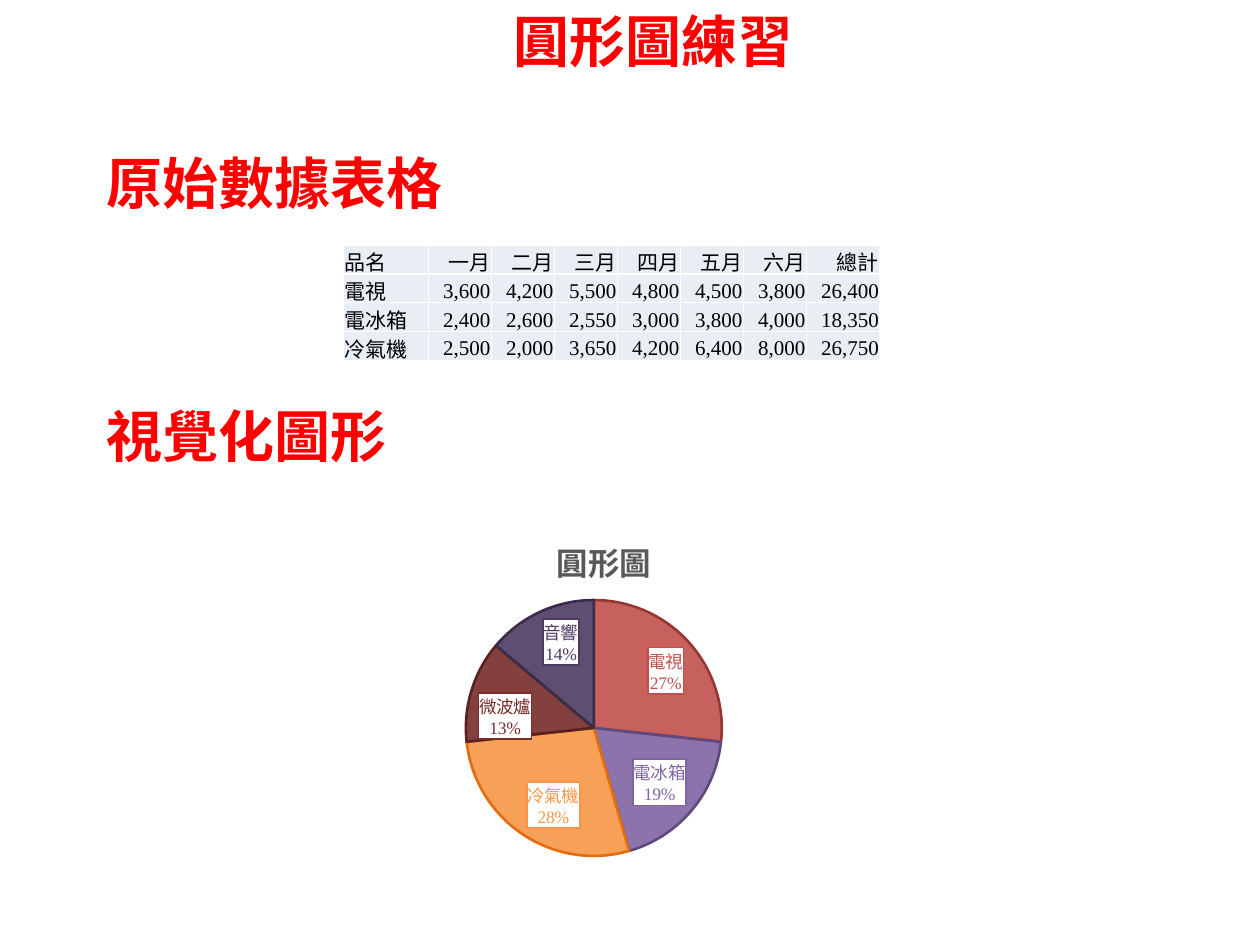
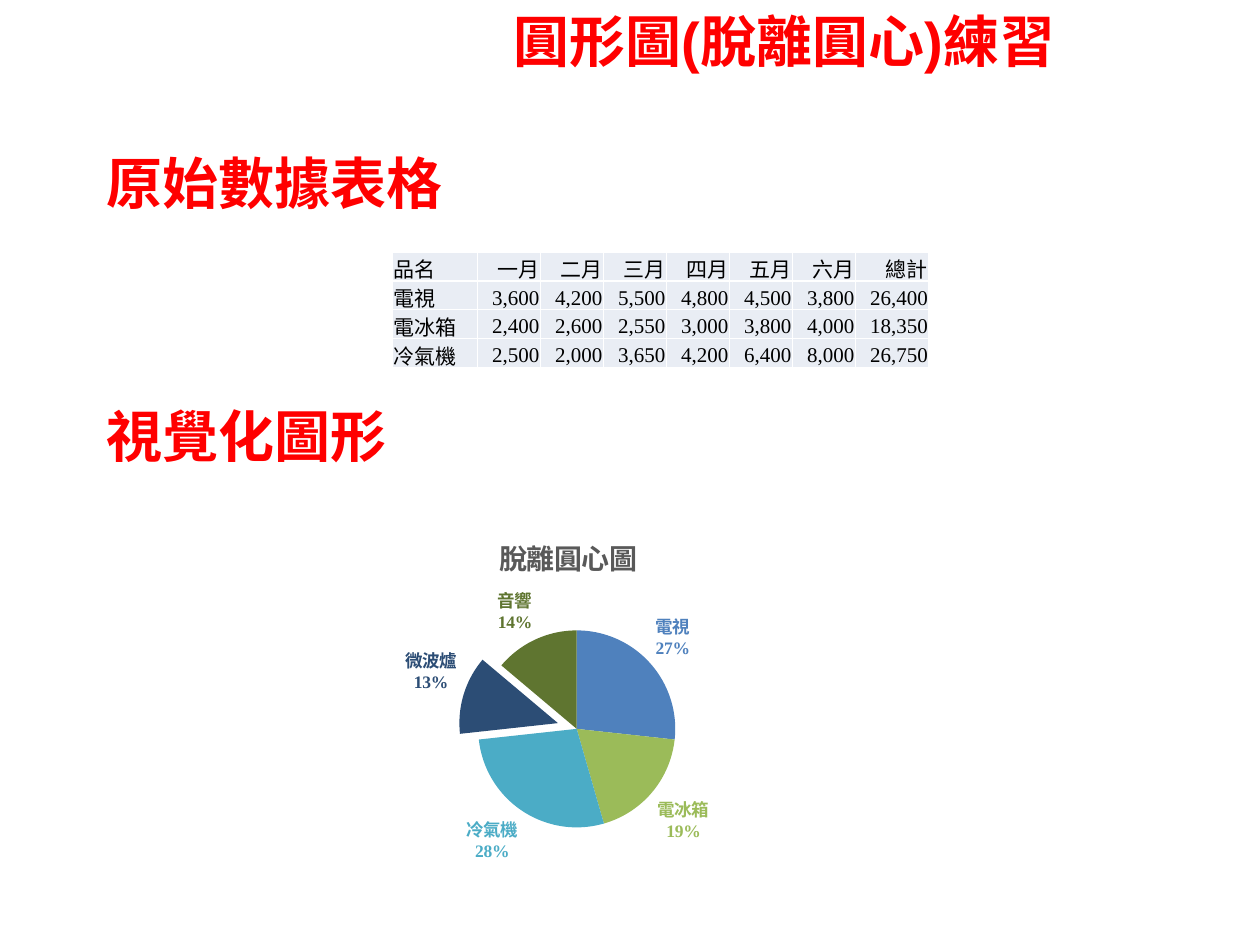
from pptx import Presentation
from pptx.chart.data import CategoryChartData
from pptx.dml.color import RGBColor
from pptx.enum.chart import XL_CHART_TYPE, XL_LABEL_POSITION
from pptx.enum.text import MSO_ANCHOR, PP_ALIGN
from pptx.oxml import parse_xml
from pptx.oxml.ns import nsdecls, qn
from pptx.util import Pt

RED = RGBColor(0xFF, 0x00, 0x00)
BLACK = RGBColor(0x00, 0x00, 0x00)
WHITE = RGBColor(0xFF, 0xFF, 0xFF)
GREY = RGBColor(0x59, 0x59, 0x59)
PALE = RGBColor(0xE9, 0xED, 0xF4)
WARM = [RGBColor(0xC0, 0x50, 0x4D), RGBColor(0x80, 0x64, 0xA2),
        RGBColor(0xF7, 0x96, 0x46), RGBColor(0x77, 0x2C, 0x2A),
        RGBColor(0x4D, 0x3B, 0x62)]
RIMS = [RGBColor(0x95, 0x37, 0x35), RGBColor(0x60, 0x4A, 0x7B),
        RGBColor(0xE4, 0x6C, 0x0A), RGBColor(0x59, 0x21, 0x20),
        RGBColor(0x3A, 0x2C, 0x4A)]
COOL = [RGBColor(0x4F, 0x81, 0xBD), RGBColor(0x9B, 0xBB, 0x59),
        RGBColor(0x4B, 0xAC, 0xC6), RGBColor(0x2C, 0x4D, 0x75),
        RGBColor(0x5F, 0x75, 0x30)]

SANS = "Arial"
SERIF = "Times New Roman"
SALES = [
    ["品名", "一月", "二月", "三月", "四月", "五月", "六月", "總計"],
    ["電視", "3,600", "4,200", "5,500", "4,800", "4,500", "3,800", "26,400"],
    ["電冰箱", "2,400", "2,600", "2,550", "3,000", "3,800", "4,000", "18,350"],
    ["冷氣機", "2,500", "2,000", "3,650", "4,200", "6,400", "8,000", "26,750"],
]
WIDTHS = [49] + [36] * 6 + [42]
ROW = 16.5
SHARES = {"電視": 27, "電冰箱": 19, "冷氣機": 28, "微波爐": 13, "音響": 14}


def style(font, size, color, name, bold=False):
    """Set the size, colour, face and weight of a font."""
    font.size, font.name, font.bold = Pt(size), name, bold
    font.color.rgb = color


def head(slide, text, left, top, width):
    """Add one red heading."""
    box = slide.shapes.add_textbox(Pt(left), Pt(top), Pt(width), Pt(46))
    box.text_frame.word_wrap = False
    box.text_frame.text = text
    style(box.text_frame.paragraphs[0].runs[0].font, 32, RED, SANS, True)


def rule(cell):
    """Draw white borders round a cell."""
    props = cell._tc.get_or_add_tcPr()
    for spot, side in enumerate("LRTB"):
        props.insert(spot, parse_xml(
            f'<a:ln{side} {nsdecls("a")} w="{Pt(1)}"><a:solidFill>'
            f'<a:srgbClr val="{WHITE}"/></a:solidFill></a:ln{side}>'))


def grid(slide, left, top):
    """Add the sales table."""
    frame = slide.shapes.add_table(
        len(SALES), len(WIDTHS), Pt(left), Pt(top),
        Pt(sum(WIDTHS)), Pt(ROW * len(SALES)))
    table = frame.table
    table.first_row = table.horz_banding = False
    for col, width in zip(table.columns, WIDTHS):
        col.width = Pt(width)
    for row, texts in zip(table.rows, SALES):
        row.height = Pt(ROW)
        for spot, (cell, text) in enumerate(zip(row.cells, texts)):
            cell.margin_left = cell.margin_right = cell.margin_top = Pt(0.75)
            cell.margin_bottom = Pt(0)
            cell.vertical_anchor = MSO_ANCHOR.BOTTOM
            cell.fill.solid()
            cell.fill.fore_color.rgb = PALE
            rule(cell)
            para = cell.text_frame.paragraphs[0]
            para.text = text
            para.alignment = PP_ALIGN.RIGHT if spot else PP_ALIGN.LEFT
            style(para.runs[0].font, 12, BLACK, SERIF)


def place(node, spot, **sizes):
    """Give a chart part a manual layout in fractions of the chart."""
    for old in node.findall(qn("c:layout")):
        node.remove(old)
    inner = '<c:layoutTarget val="inner"/>' if "w" in sizes else ""
    modes = '<c:xMode val="edge"/><c:yMode val="edge"/>'
    parts = "".join(f'<c:{key} val="{val}"/>' for key, val in sizes.items())
    node.insert(spot, parse_xml(
        f'<c:layout {nsdecls("c")}><c:manualLayout>{inner}{modes}{parts}'
        '</c:manualLayout></c:layout>'))


def pie(slide, left, top, title, size, start, plot, colors, side, bold):
    """Add a pie of the shares with a label per slice."""
    data = CategoryChartData()
    data.categories = SHARES.keys()
    data.add_series("Series 1", SHARES.values())
    chart = slide.shapes.add_chart(
        XL_CHART_TYPE.PIE, Pt(left), Pt(top), Pt(325), Pt(212.5), data).chart
    style(chart.font, 10, BLACK, SERIF)
    chart.has_legend = False
    chart.has_title = True
    para = chart.chart_title.text_frame.paragraphs[0]
    para.text = title
    style(para.runs[0].font, size, GREY, SERIF, True)
    space = chart._chartSpace
    place(next(space.iter(qn("c:title"))), 1, x=start, y=0.07)
    place(next(space.iter(qn("c:plotArea"))), 0, **plot)
    chart.plots[0].vary_by_categories = True
    series = chart.plots[0].series[0]
    for spot, color in enumerate(colors):
        point = series.points[spot]
        point.format.fill.solid()
        point.format.fill.fore_color.rgb = color
        point.format.line.fill.background()
        style(point.data_label.font, 10, color, SERIF, bold)
        point.data_label.position = side
    for label in space.iter(qn("c:dLbl")):
        for key, val in (("Val", 0), ("CatName", 1), ("Percent", 1)):
            label.find(qn(f"c:show{key}")).set("val", str(val))
        label.append(parse_xml(
            f'<c:separator {nsdecls("c")}>\n</c:separator>'))
        label.find(qn("c:txPr")).addprevious(parse_xml(
            f'<c:numFmt {nsdecls("c")} formatCode="0%" sourceLinked="0"/>'))
    return chart


def rim(chart):
    """Outline the slices and put their labels in white boxes."""
    points = chart.plots[0].series[0].points
    for spot, color in enumerate(RIMS):
        line = points[spot].format.line
        line.color.rgb = color
        line.width = Pt(1.5)
    for slice_ in chart._chartSpace.iter(qn("c:dPt")):
        tint = slice_.find(f'{qn("c:spPr")}/{qn("a:solidFill")}/{qn("a:srgbClr")}')
        tint.append(parse_xml(f'<a:alpha {nsdecls("a")} val="90000"/>'))
    for label, color in zip(chart._chartSpace.iter(qn("c:dLbl")), WARM):
        label.find(qn("c:txPr")).addprevious(parse_xml(
            f'<c:spPr {nsdecls("c", "a")}><a:solidFill>'
            f'<a:srgbClr val="{WHITE}"/></a:solidFill><a:ln w="{Pt(1)}">'
            f'<a:solidFill><a:srgbClr val="{color}"/></a:solidFill>'
            '</a:ln></c:spPr>'))


def pull(chart, spot):
    """Move one slice away from the centre."""
    slices = list(chart._chartSpace.iter(qn("c:dPt")))
    slices[spot].find(qn("c:spPr")).addprevious(
        parse_xml(f'<c:explosion {nsdecls("c")} val="20"/>'))


def page(deck, title, width, left, top):
    """Add a slide with its headings and table."""
    slide = deck.slides.add_slide(deck.slide_layouts[6])
    head(slide, title, 286.5, 0, width)
    head(slide, "原始數據表格", 54, 81.5, 215)
    head(slide, "視覺化圖形", 54, 226, 215)
    grid(slide, left, top)
    return slide


def main():
    """Build both slides and save the deck."""
    deck = Presentation()
    deck.slide_width, deck.slide_height = Pt(720), Pt(540)
    slide = page(deck, "圓形圖練習", 178.5, 196, 140)
    rim(pie(slide, 178.5, 287.5, "圓形圖", 18, 0.42,
            dict(x=0.27, y=0.26, w=0.45, h=0.69),
            WARM, XL_LABEL_POSITION.INSIDE_END, False))
    slide = page(deck, "圓形圖(脫離圓心)練習", 357, 224, 144)
    pull(pie(slide, 159, 288, "脫離圓心圖", 16, 0.38,
             dict(x=0.35, y=0.34, w=0.35, h=0.53),
             COOL, XL_LABEL_POSITION.OUTSIDE_END, True), 3)
    deck.save("out.pptx")


if __name__ == "__main__":
    main()
